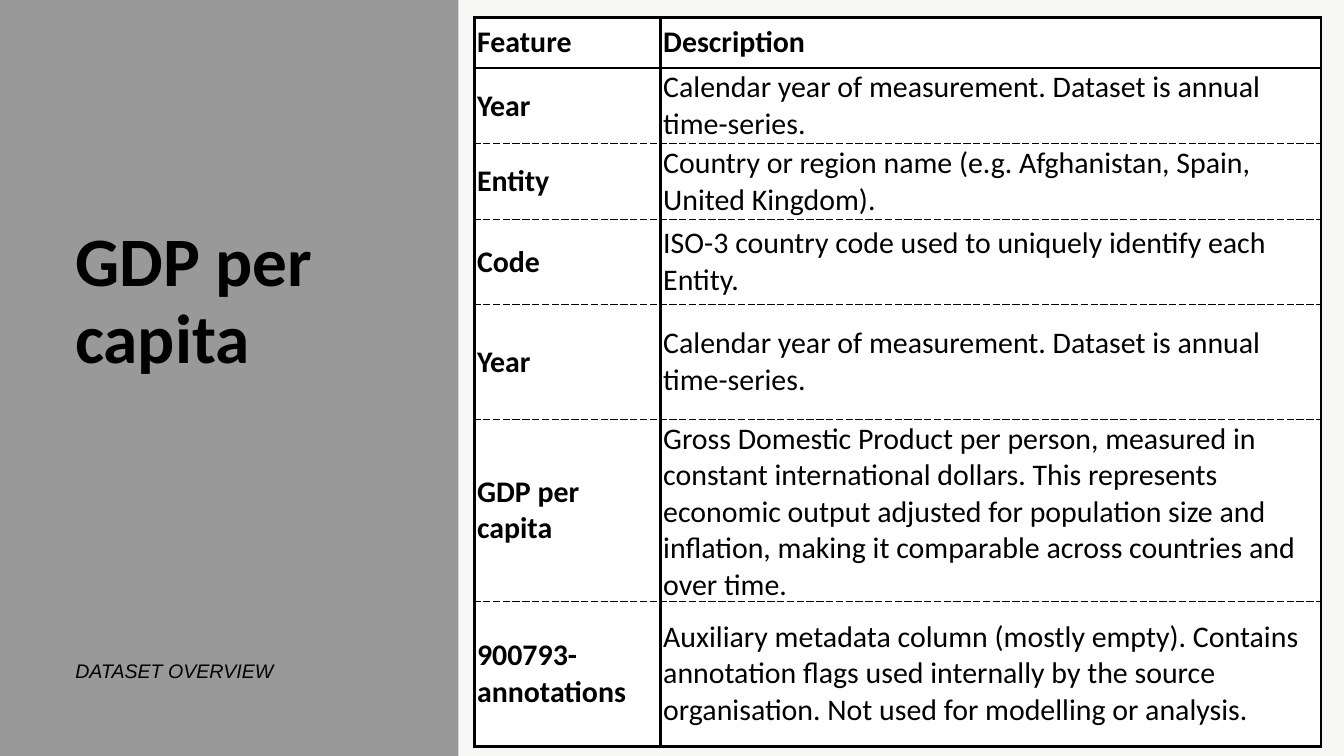
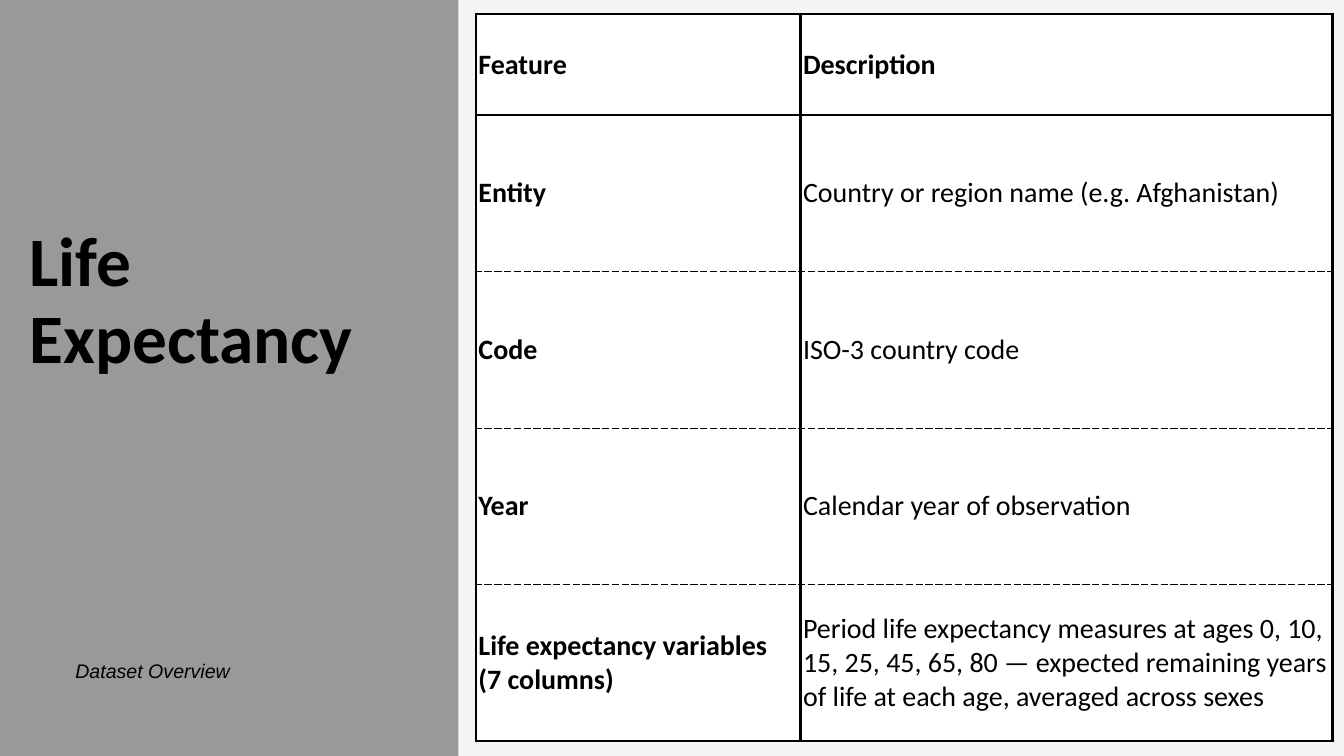
from dataclasses import dataclass

from lxml.etree import SubElement
from pptx import Presentation
from pptx.dml.color import RGBColor
from pptx.enum.shapes import MSO_SHAPE
from pptx.enum.text import MSO_ANCHOR, MSO_AUTO_SIZE
from pptx.oxml.ns import qn
from pptx.util import Inches, Pt

BLACK = RGBColor(0x00, 0x00, 0x00)
WHITE = RGBColor(0xFF, 0xFF, 0xFF)
BAND_GREY = RGBColor(0x99, 0x99, 0x99)
OFF_WHITE = RGBColor(0xF7, 0xF7, 0xF6)
WARM_WHITE = RGBColor(0xF6, 0xF5, 0xF3)

HEADING_FONT = "Calibri"
FOOTER_FONT = "Arial"
HEADER = ("Feature", "Description")
SOLID_WIDTH = 3


@dataclass(frozen=True)
class TextStyle:
    font: str
    size: float
    bold: bool = False
    italic: bool = False
    leading: float | None = None


@dataclass(frozen=True)
class FeatureTable:
    left: float
    top: float
    column_widths: tuple[float, ...]
    row_heights: tuple[float, ...]
    font_size: int
    dash_width: float
    features: tuple[tuple[str, str], ...]


@dataclass(frozen=True)
class Dataset:
    title: str
    title_left: float
    footer: str
    background: RGBColor
    table: FeatureTable


TITLE_STYLE = TextStyle(HEADING_FONT, 74.3, bold=True, leading=81.7)
FOOTER_STYLE = TextStyle(FOOTER_FONT, 21, italic=True, leading=29.4)

DATASETS = (
    Dataset(
        "GDP per capita", 1.12, "DATASET OVERVIEW", OFF_WHITE,
        FeatureTable(
            7.06, 0.26, (2.77, 9.83),
            (0.75, 1.13, 1.13, 1.26, 1.71, 2.65, 2.16), 32, 0.75,
            (
                ("Year", "Calendar year of measurement. Dataset is annual time-series."),
                ("Entity", "Country or region name (e.g. Afghanistan, Spain, United Kingdom)."),
                ("Code", "ISO-3 country code used to uniquely identify each Entity."),
                ("Year", "Calendar year of measurement. Dataset is annual time-series."),
                ("GDP per capita",
                 "Gross Domestic Product per person, measured in constant international "
                 "dollars. This represents economic output adjusted for population size "
                 "and inflation, making it comparable across countries and over time."),
                ("900793-annotations",
                 "Auxiliary metadata column (mostly empty). Contains annotation flags "
                 "used internally by the source organisation. Not used for modelling "
                 "or analysis."),
            ),
        ),
    ),
    Dataset(
        "Life Expectancy", 0.44, "Dataset Overview", WARM_WHITE,
        FeatureTable(
            7.08, 0.21, (4.83, 7.92), (1.5,) + (2.33,) * 4, 30, 1,
            (
                ("Entity", "Country or region name (e.g. Afghanistan)"),
                ("Code", "ISO-3 country code"),
                ("Year", "Calendar year of observation"),
                ("Life expectancy variables\n(7 columns)",
                 "Period life expectancy measures at ages 0, 10, 15, 25, 45, 65, 80 "
                 "— expected remaining years of life at each age, averaged across sexes"),
            ),
        ),
    ),
)


def write_text(frame, text: str, style: TextStyle) -> None:
    for index, line in enumerate(text.split("\n")):
        paragraph = frame.add_paragraph() if index else frame.paragraphs[0]
        if style.leading:
            paragraph.line_spacing = Pt(style.leading)
        run = paragraph.add_run()
        run.text = line
        run.font.name = style.font
        run.font.size = Pt(style.size)
        run.font.bold = style.bold
        run.font.italic = style.italic
        run.font.color.rgb = BLACK


def add_label(slide, left: float, top: float, width: float, height: float,
              text: str, style: TextStyle) -> None:
    label = slide.shapes.add_textbox(Inches(left), Inches(top), Inches(width), Inches(height))
    frame = label.text_frame
    frame.margin_left = frame.margin_top = frame.margin_right = frame.margin_bottom = 0
    frame.word_wrap = True
    frame.auto_size = MSO_AUTO_SIZE.SHAPE_TO_FIT_TEXT
    write_text(frame, text, style)


def add_border(cell, side: str, width: float, dash: str) -> None:
    properties = cell._tc.get_or_add_tcPr()
    border = SubElement(properties, qn(f"a:ln{side}"), w=str(Pt(width)))
    fill = SubElement(border, qn("a:solidFill"))
    SubElement(fill, qn("a:srgbClr"), val=str(BLACK))
    SubElement(border, qn("a:prstDash"), val=dash)


def add_feature_table(slide, spec_sheet: FeatureTable) -> None:
    rows = (HEADER,) + spec_sheet.features
    table = slide.shapes.add_table(
        len(rows), len(HEADER), Inches(spec_sheet.left), Inches(spec_sheet.top),
        Inches(sum(spec_sheet.column_widths)), Inches(sum(spec_sheet.row_heights)),
    ).table
    table.first_row = table.horz_banding = False
    for column, width in zip(table.columns, spec_sheet.column_widths):
        column.width = Inches(width)
    for row, height in zip(table.rows, spec_sheet.row_heights):
        row.height = Inches(height)

    solid = (SOLID_WIDTH, "solid")
    dashed = (spec_sheet.dash_width, "dash")
    for row_index, texts in enumerate(rows):
        above = solid if row_index < 2 else dashed
        below = solid if row_index in (0, len(rows) - 1) else dashed
        for column_index, text in enumerate(texts):
            cell = table.cell(row_index, column_index)
            for side, line in zip("LRTB", (solid, solid, above, below)):
                add_border(cell, side, *line)
            cell.fill.solid()
            cell.fill.fore_color.rgb = WHITE
            cell.vertical_anchor = MSO_ANCHOR.MIDDLE
            cell.margin_left = cell.margin_right = Inches(0.04)
            cell.margin_top = cell.margin_bottom = Inches(0.02)
            is_bold = row_index == 0 or column_index == 0
            write_text(cell.text_frame, text,
                       TextStyle(HEADING_FONT, spec_sheet.font_size, bold=is_bold))


def add_dataset_slide(deck, dataset: Dataset) -> None:
    slide = deck.slides.add_slide(deck.slide_layouts[6])
    slide.background.fill.solid()
    slide.background.fill.fore_color.rgb = dataset.background

    side_band = slide.shapes.add_shape(
        MSO_SHAPE.RECTANGLE, 0, 0, Inches(6.82), deck.slide_height)
    side_band.shadow.inherit = False
    side_band.fill.solid()
    side_band.fill.fore_color.rgb = BAND_GREY
    side_band.line.fill.background()

    add_label(slide, dataset.title_left, 3.34, 5.94, 2.28, dataset.title, TITLE_STYLE)
    add_label(slide, 1.12, 9.74, 3.62, 0.39, dataset.footer, FOOTER_STYLE)
    add_feature_table(slide, dataset.table)


def main() -> None:
    deck = Presentation()
    deck.slide_width = Inches(20)
    deck.slide_height = Inches(11.25)
    for dataset in DATASETS:
        add_dataset_slide(deck, dataset)
    deck.save("out.pptx")


if __name__ == "__main__":
    main()
